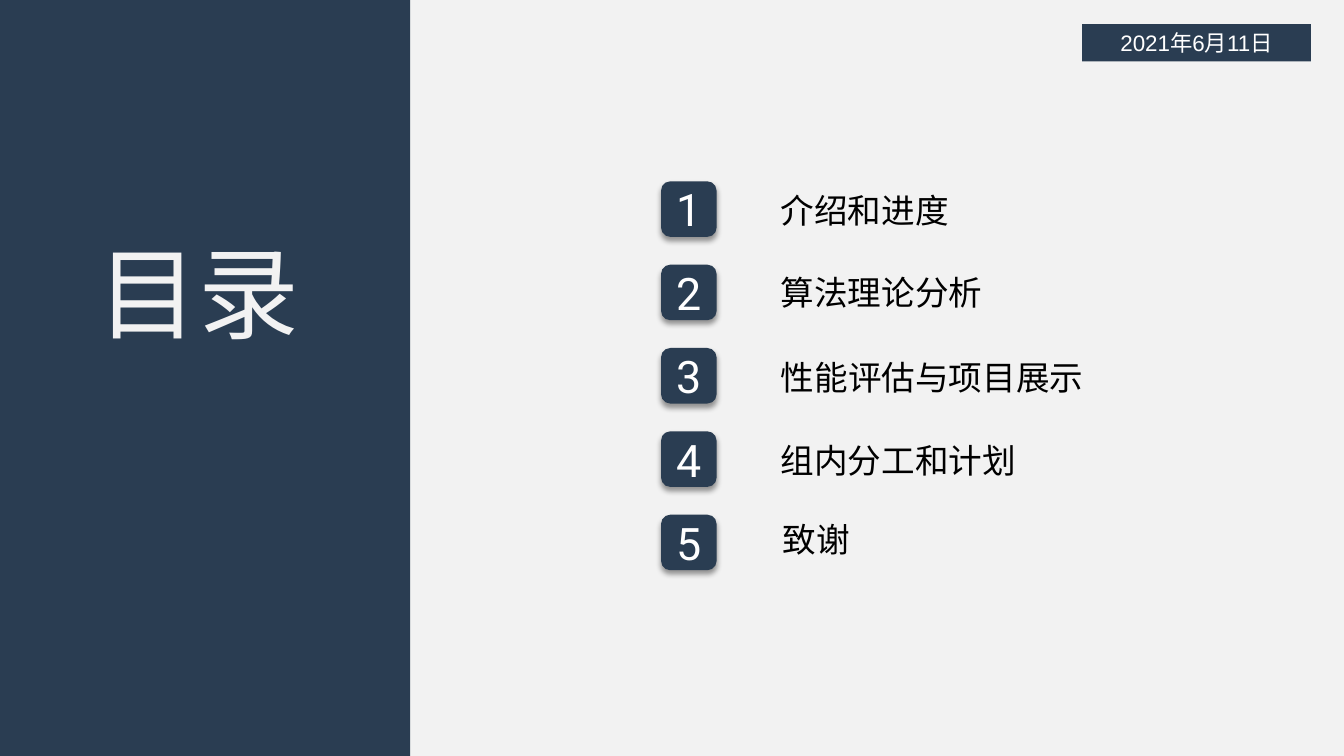
import pptx
import pptx.dml.color
import pptx.enum.shapes
import pptx.enum.text
import pptx.oxml
import pptx.oxml.ns
import pptx.util
import lxml.etree

Cm = pptx.util.Cm
SHAPES = pptx.enum.shapes.MSO_SHAPE
ANCHOR = pptx.enum.text.MSO_ANCHOR
FIT = pptx.enum.text.MSO_AUTO_SIZE
NAVY, PALE, WHITE, BLACK = "2A3D52", "F2F2F2", "FFFFFF", "000000"
HAN = "Noto Sans CJK SC"
SHADE = (
    f'<a:outerShdw {pptx.oxml.ns.nsdecls("a")} blurRad="50800" dist="38100" '
    'dir="5400000" algn="t" rotWithShape="0">'
    '<a:srgbClr val="000000"><a:alpha val="40000"/></a:srgbClr></a:outerShdw>'
)


def tint(code):
    return pptx.dml.color.RGBColor.from_string(code)


class Page:
    def __init__(self, deck):
        self.slide = deck.slides.add_slide(deck.slide_layouts[5])
        self.shapes = self.slide.shapes
        back = self.slide.background.fill
        back.solid()
        back.fore_color.rgb = tint(PALE)

    def letter(self, shape, text, size, face, color, **frame):
        body = shape.text_frame
        for key, value in frame.items():
            setattr(body, key, value)
        para = body.paragraphs[0]
        para.alignment = pptx.enum.text.PP_ALIGN.CENTER
        run = para.add_run()
        run.text = text
        style = {"size": pptx.util.Pt(size), "name": face, "bold": False}
        for key, value in style.items():
            setattr(run.font, key, value)
        run.font.color.rgb = tint(color)
        east = lxml.etree.Element(pptx.oxml.ns.qn("a:ea"), typeface=HAN)
        run.font._element.find(pptx.oxml.ns.qn("a:latin")).addnext(east)

    def block(self, kind, left, top, width, height):
        shape = self.shapes.add_shape(kind, Cm(left), Cm(top), Cm(width), Cm(height))
        shape.shadow.inherit = False
        shape.fill.solid()
        shape.fill.fore_color.rgb = tint(NAVY)
        shape.line.fill.background()
        return shape

    def tile(self, text, left, top, side):
        shape = self.block(SHAPES.ROUNDED_RECTANGLE, left, top, side, side)
        glow = shape.element.spPr.find(pptx.oxml.ns.qn("a:effectLst"))
        glow.append(pptx.oxml.parse_xml(SHADE))
        self.letter(shape, text, 32, "Roboto", WHITE, vertical_anchor=ANCHOR.MIDDLE)

    def label(self, text, left, top):
        width = 0.51 + 0.85 * len(text)
        box = self.shapes.add_textbox(Cm(left), Cm(top), Cm(width), Cm(1.28))
        self.letter(box, text, 24, HAN, BLACK, word_wrap=False,
                    auto_size=FIT.SHAPE_TO_FIT_TEXT)

    def title(self, text, left, top, width, height):
        head = self.shapes.title
        place = {"left": left, "top": top, "width": width, "height": height}
        for key, value in place.items():
            setattr(head, key, Cm(value))
        self.letter(head, text, 72, HAN, PALE, word_wrap=False,
                    auto_size=FIT.SHAPE_TO_FIT_TEXT, vertical_anchor=ANCHOR.TOP)
        head.element.getparent().append(head.element)

    def date(self, text, left, top, width, height):
        bar = self.block(SHAPES.RECTANGLE, left, top, width, height)
        self.letter(bar, text, 16, "Arial", WHITE, word_wrap=True,
                    auto_size=FIT.SHAPE_TO_FIT_TEXT, vertical_anchor=ANCHOR.TOP)


def main():
    deck = pptx.Presentation()
    deck.slide_width, deck.slide_height = Cm(33.87), Cm(19.05)
    page = Page(deck)
    parts = [
        ("介绍和进度", 19.41, 4.65),
        ("算法理论分析", 19.41, 6.73),
        ("性能评估与项目展示", 19.41, 8.86),
        ("组内分工和计划", 19.41, 10.97),
        ("致谢", 19.46, 12.95),
    ]
    for index, (text, left, top) in enumerate(parts):
        page.tile(str(index + 1), 16.66, 4.57 + 2.1 * index, 1.4)
        page.label(text, left, top)
    page.block(SHAPES.RECTANGLE, 0, 0, 10.34, 19.05)
    page.title("目录", 2.18, 5.69, 5.64, 3.33)
    page.date("2021年6月11日", 27.27, 0.61, 5.77, 0.94)
    deck.save("out.pptx")


if __name__ == "__main__":
    main()
